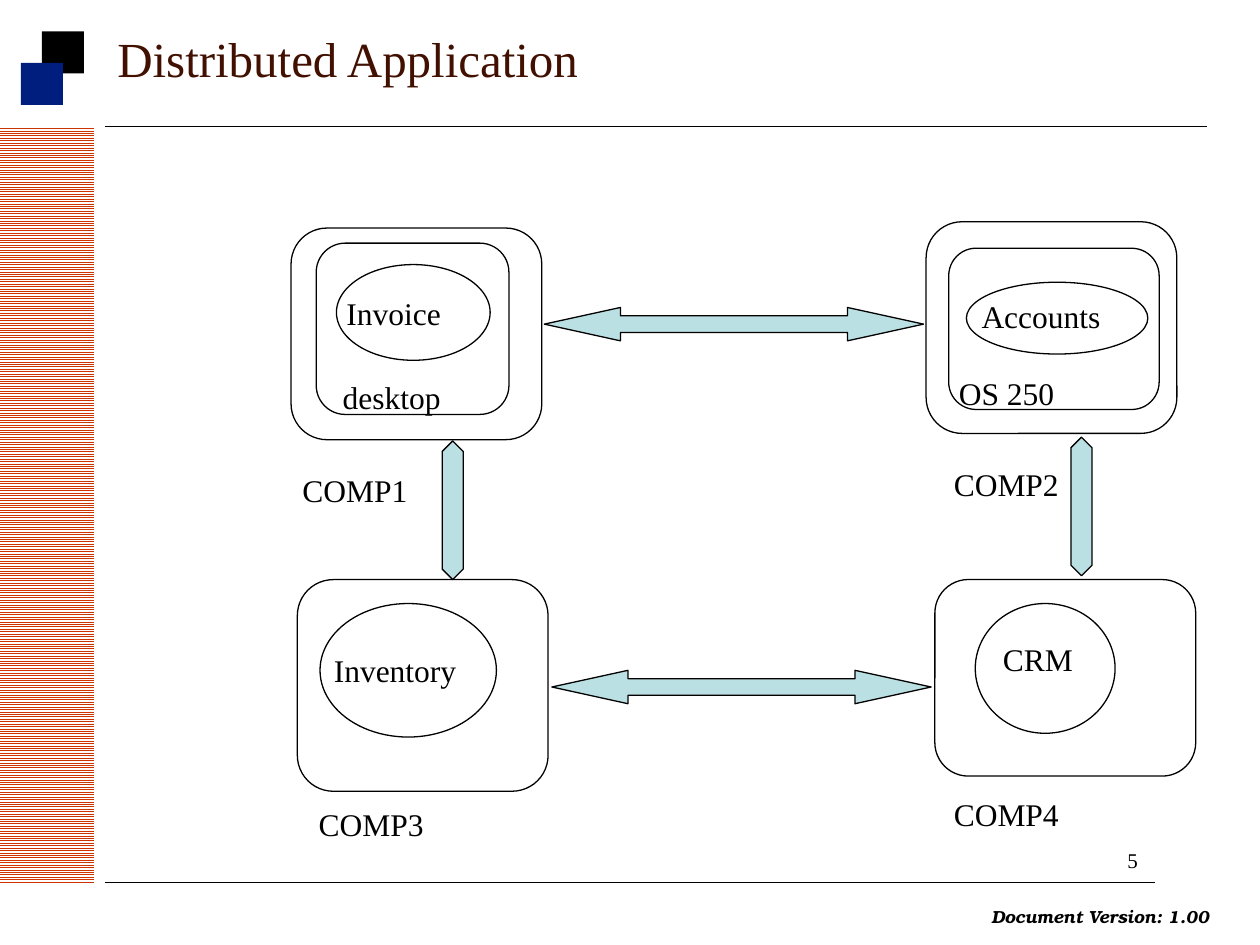
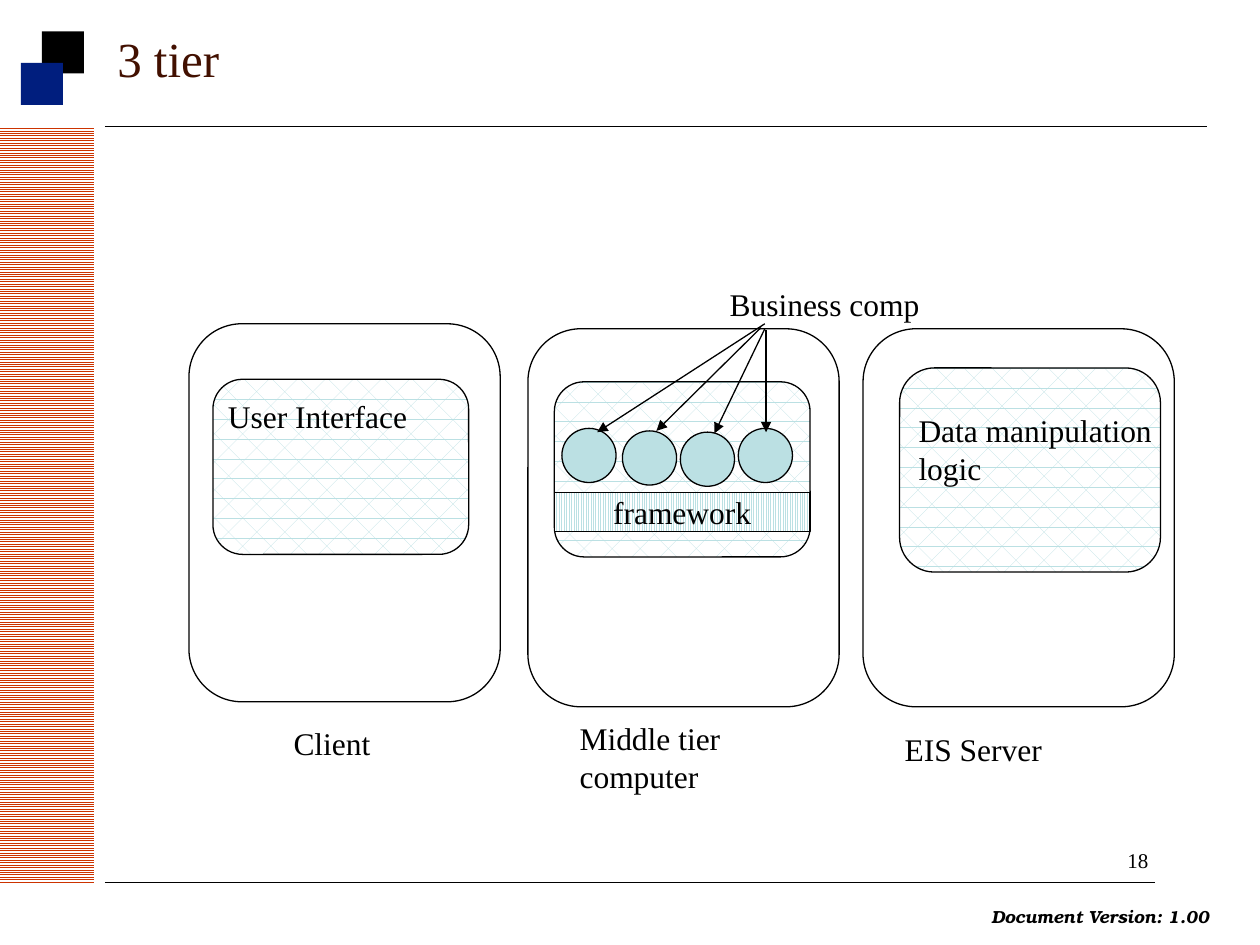
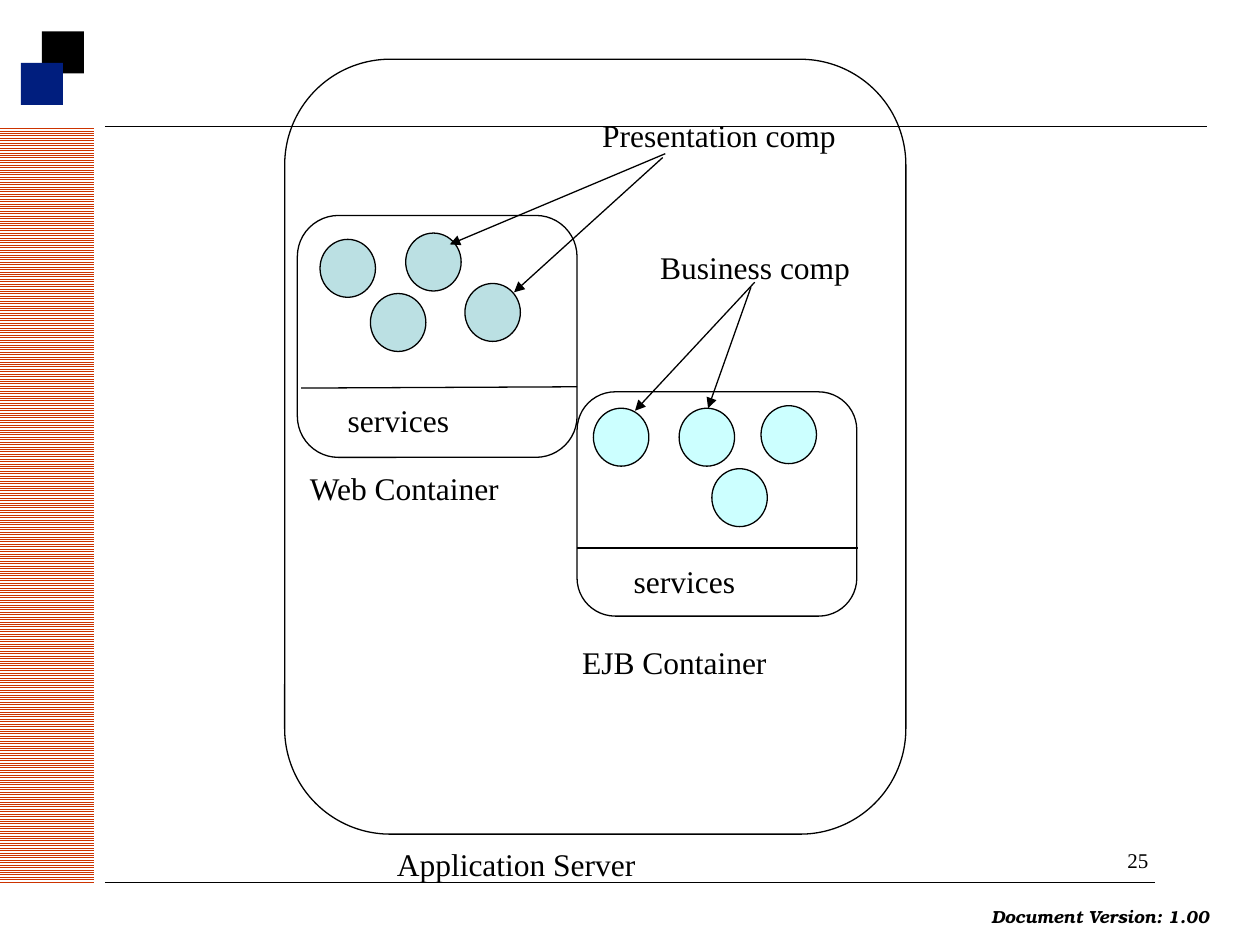
import pptx
import pptx.util
import pptx.dml.color
import pptx.enum.dml
import pptx.enum.shapes
import pptx.enum.text
import pptx.oxml.ns
import lxml.etree

COLS, ROWS = 100, 75
INK = {"black": "000000", "white": "FFFFFF", "title": "421000", "navy": "001E7E",
       "rust": "CC3300", "teal": "BBE0E3", "aqua": "CCFFFF"}
KIND = pptx.enum.shapes.MSO_SHAPE
WEAVE = pptx.enum.dml.MSO_PATTERN
ANCHOR = pptx.enum.text.MSO_ANCHOR
ALIGN = pptx.enum.text.PP_ALIGN
ROUND, OVAL, RECT = KIND.ROUNDED_RECTANGLE, KIND.OVAL, KIND.RECTANGLE


def tint(name):
    return pptx.dml.color.RGBColor.from_string(INK[name])


def child(node, tag, **attrs):
    return lxml.etree.SubElement(node, pptx.oxml.ns.qn(tag), **attrs)


def write(frame, words, size=18, font="Times New Roman", color="black", bold=False,
          italic=False, align=ALIGN.LEFT, anchor=ANCHOR.TOP, inset=0, gap=0, wrap=True):
    """Put words in a frame; inset is in inches, gap is the space above in percent."""
    frame.word_wrap = wrap
    frame.vertical_anchor = anchor
    frame.margin_left = frame.margin_right = pptx.util.Inches(inset)
    frame.margin_top = frame.margin_bottom = pptx.util.Inches(inset / 2)
    para = frame.paragraphs[0]
    para.alignment = align
    if gap:
        above = child(para._p.get_or_add_pPr(), "a:spcBef")
        child(above, "a:spcPct", val=str(gap * 1000))
    run = para.add_run()
    run.text = words
    run.font.name, run.font.size = font, pptx.util.Pt(size)
    run.font.bold, run.font.italic = bold, italic
    run.font.color.rgb = tint(color)


class Deck:
    """Holds the style and the current slide; lengths are grid columns and rows."""

    def __init__(self):
        self.file = pptx.Presentation()
        self.file.slide_width = pptx.util.Inches(10)
        self.file.slide_height = pptx.util.Inches(7.5)
        self.slide = None

    def place(self, *spots):
        """Turn column, row pairs into slide lengths."""
        sides = (self.file.slide_width / COLS, self.file.slide_height / ROWS)
        return [round(spot * sides[i % 2]) for i, spot in enumerate(spots)]

    def shape(self, kind, *spot, fill=None, weave=None, line=0.75, adjust=()):
        item = self.slide.shapes.add_shape(kind, *self.place(*spot))
        item.shadow.inherit = False
        if weave:
            item.fill.patterned()
            item.fill.pattern = weave
            item.fill.fore_color.rgb = tint(fill)
            item.fill.back_color.rgb = tint("white")
        elif fill:
            item.fill.solid()
            item.fill.fore_color.rgb = tint(fill)
        else:
            item.fill.background()
        if line:
            item.line.color.rgb = tint("black")
            item.line.width = pptx.util.Pt(line)
        else:
            item.line.fill.background()
        for i, value in enumerate(adjust):
            item.adjustments[i] = value
        return item

    def panel(self, *spot, **look):
        return self.shape(ROUND, *spot, adjust=[0.17], **look)

    def arrow(self, kind, *spot, head):
        self.shape(kind, *spot, fill="teal", adjust=[0.5, head])

    def line(self, *ends, width=0.75, head=False):
        straight = pptx.enum.shapes.MSO_CONNECTOR.STRAIGHT
        item = self.slide.shapes.add_connector(straight, *self.place(*ends))
        item.line.color.rgb = tint("black")
        item.line.width = pptx.util.Pt(width)
        if head:
            child(item.line._get_or_add_ln(), "a:tailEnd", type="triangle")
        child(item._element.spPr, "a:effectLst")

    def text(self, words, *spot, **form):
        box = self.slide.shapes.add_textbox(*self.place(*spot))
        write(box.text_frame, words, **form)

    def label(self, words, col, row, wide, high=3):
        self.text(words, col, row, wide, high, gap=50)

    def start(self, page, title=None):
        """Add a slide with the shared band, squares, rules and footer."""
        self.slide = self.file.slides.add_slide(self.file.slide_layouts[6])
        band = self.shape(RECT, -26.25, 36.25, 60, 7.5, fill="rust",
                          weave=WEAVE.LIGHT_HORIZONTAL, line=0)
        band.rotation = 270
        self.line(8.33, 10, 95.83, 10, width=0.25)
        self.shape(RECT, 3.33, 2.5, 3.33, 3.33, fill="black", line=0)
        self.shape(RECT, 1.67, 5, 3.33, 3.33, fill="navy", line=0)
        self.text("Document Version: 1.00", 77.7, 71.4, 19.4, 2.7, size=10, inset=0.1,
                  font="TeX Gyre Bonum", bold=True, italic=True, wrap=False)
        self.line(8.33, 70, 91.67, 70, width=0.25)
        self.text(str(page), 88.5, 66.8, 4, 3, size=12, inset=0.1)
        if title:
            self.text(title, 8.33, 0, 90, 9.2, size=28, color="title",
                      anchor=ANCHOR.MIDDLE, inset=0.1)


def spread(deck):
    deck.start(5, "Distributed Application")
    for spot in ((23.1, 18.1, 19.9, 16.8), (23.6, 46, 19.9, 16.8),
                 (73.5, 17.6, 19.9, 16.8), (74.2, 46, 20.7, 15.6),
                 (25.1, 19.3, 15.3, 13.6), (75.3, 19.7, 16.7, 12.8)):
        deck.panel(*spot)
    for spot in ((26.7, 21, 12.2, 7.6), (76.7, 22.4, 14.4, 5.7),
                 (25.4, 47.9, 14, 10.6), (77.4, 47.9, 11.1, 10.3)):
        deck.shape(OVAL, *spot)
    for col, row in ((43.2, 24.4), (43.8, 53.2)):
        deck.arrow(KIND.LEFT_RIGHT_ARROW, col, row, 30.1, 2.65, head=2.28)
    for col, row in ((35.1, 35), (85, 34.7)):
        deck.arrow(KIND.UP_DOWN_ARROW, col, row, 1.67, 11, head=1.32)
    for words, col, row in (
            ("Invoice", 27.5, 23.3), ("Inventory", 26.5, 51.7), ("Accounts", 77.9, 23.6),
            ("CRM", 79.6, 50.8), ("COMP1", 24, 37.4), ("COMP2", 75.7, 36.9),
            ("COMP3", 25.3, 63.9), ("COMP4", 75.7, 63.1),
            ("desktop", 27.2, 30), ("OS 250", 76.1, 29.7)):
        deck.label(words, col, row, 16)


def tiers(deck):
    deck.start(18, "3 tier")
    for col, row in ((15, 25.7), (41.9, 26.1), (68.5, 26.1)):
        deck.panel(col, row, 24.7, 30)
    for spot in ((16.9, 30.1, 20.3, 13.9), (44, 30.3, 20.3, 13.9),
                 (71.4, 29.2, 20.7, 16.2)):
        deck.panel(*spot, fill="teal", weave=WEAVE.DIVOT)
    bar = deck.shape(RECT, 44, 39.1, 20.3, 3.1, fill="teal", weave=WEAVE.LIGHT_VERTICAL)
    write(bar.text_frame, "framework", align=ALIGN.CENTER, anchor=ANCHOR.MIDDLE)
    for col, row in ((44.6, 34), (49.4, 34.2), (54, 34.3), (58.6, 34)):
        deck.shape(OVAL, col, row, 4.3, 4.3, fill="teal")
    for words, *spot in (
            ("Client", 23.3, 57.5, 21), ("EIS Server", 71.8, 57.9, 17.9),
            ("User Interface", 18.1, 31.5, 18.6), ("Business comp", 57.9, 22.6, 22.5),
            ("Data manipulation logic", 72.9, 32.6, 19, 13.5),
            ("Middle tier computer", 46, 57.1, 20.7, 6)):
        deck.label(words, *spot)
    for ends in ((60.7, 25.7, 47.4, 34.3), (60.4, 26, 52.1, 34.2),
                 (60.7, 26.1, 56.7, 34.4), (60.8, 26.2, 60.8, 34.3)):
        deck.line(*ends, head=True)


def server(deck):
    deck.start(25)
    for spot in ((22.6, 4.7, 49.3, 61.5), (23.6, 17.1, 22.2, 19.2),
                 (45.8, 31.1, 22.2, 17.8)):
        deck.panel(*spot)
    balls = {"teal": ((25.4, 19), (29.4, 23.3), (32.2, 18.5), (36.9, 22.5)),
             "aqua": ((47.1, 32.4), (53.9, 32.4), (56.5, 37.2), (60.4, 32.2))}
    for color, spots in balls.items():
        for col, row in spots:
            deck.shape(OVAL, col, row, 4.4, 4.6, fill=color)
    deck.line(23.9, 30.8, 45.8, 30.7)
    deck.line(45.8, 43.5, 68.1, 43.5)
    for words, col, row in (
            ("Web Container", 24.6, 37.2), ("EJB Container", 46.2, 51),
            ("services", 27.6, 31.8), ("services", 50.3, 44.6),
            ("Application Server", 31.5, 67.1), ("Presentation comp", 47.8, 9.2),
            ("Business comp", 52.4, 19.7)):
        deck.label(words, col, row, 25)
    for ends in ((52.8, 12.2, 35.7, 19.4), (52.6, 12.5, 40.8, 23.2),
                 (59.9, 22.4, 50.4, 32.6), (59.6, 22.8, 56.2, 32.4)):
        deck.line(*ends, head=True)


def main():
    deck = Deck()
    for build in (spread, tiers, server):
        build(deck)
    deck.file.save("out.pptx")


if __name__ == "__main__":
    main()
